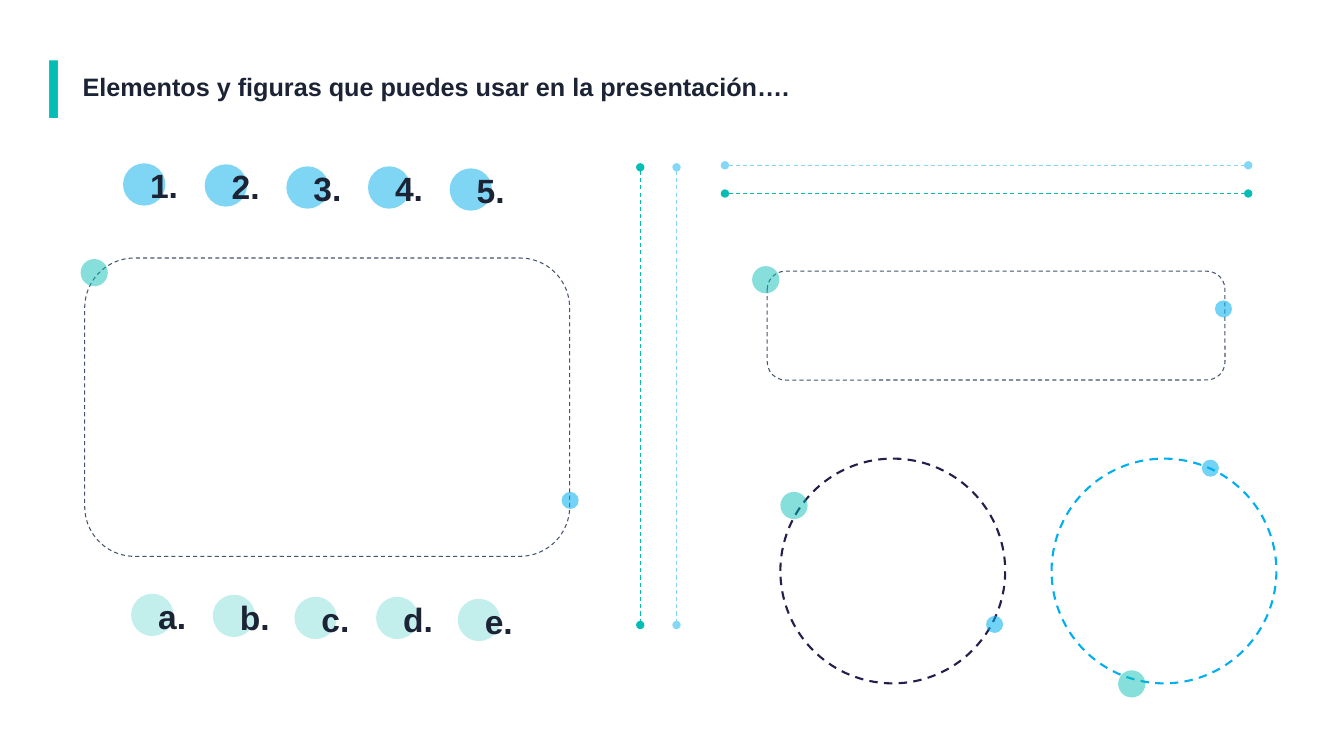
from dataclasses import dataclass

from lxml.etree import SubElement
from pptx import Presentation
from pptx.dml.color import RGBColor
from pptx.enum.dml import MSO_LINE_DASH_STYLE as DASH
from pptx.enum.shapes import MSO_CONNECTOR as CONNECTOR, MSO_SHAPE as SHAPE
from pptx.enum.text import MSO_AUTO_SIZE as AUTO_SIZE, PP_ALIGN as ALIGN
from pptx.oxml.ns import qn
from pptx.util import Inches, Pt

TEAL, SKY, INK = "04BDB4", "84D7F6", "1B2335"
SLATE, NAVY, BLUE = "44546A", "221F4B", "00AFEF"


@dataclass
class Dot:
    size: float
    color: str
    opacity: int


@dataclass
class Frame:
    kind: SHAPE
    box: tuple[float, float, float, float]
    color: str
    weight: float
    teal_dot: tuple[float, float]
    blue_dot: tuple[float, float]


@dataclass
class Divider:
    start: tuple[float, float]
    end: tuple[float, float]
    color: str


@dataclass
class BulletRow:
    labels: str
    left: float
    top: float
    dot: Dot


TEAL_DOT = Dot(0.27, TEAL, 48)
BLUE_DOT = Dot(0.17, "00B0F0", 55)

FRAMES = [
    Frame(SHAPE.ROUNDED_RECTANGLE, (0.84, 2.56, 4.81, 2.96), SLATE, 0.75, (0.8, 2.57), (5.57, 4.88)),
    Frame(SHAPE.ROUNDED_RECTANGLE, (7.61, 2.69, 4.54, 1.08), SLATE, 0.75, (7.46, 2.64), (12.05, 2.98)),
    Frame(SHAPE.OVAL, (7.74, 4.55, 2.23, 2.23), NAVY, 1.5, (7.74, 4.88), (9.78, 6.11)),
    Frame(SHAPE.OVAL, (10.43, 4.55, 2.23, 2.23), BLUE, 1.5, (11.09, 6.65), (11.92, 4.56)),
]
DIVIDERS = [
    Divider((7.19, 1.92), (12.38, 1.92), TEAL),
    Divider((7.19, 1.64), (12.38, 1.64), SKY),
    Divider((6.35, 1.66), (6.35, 6.2), TEAL),
    Divider((6.71, 1.66), (6.71, 6.2), SKY),
]
BULLET_ROWS = [
    BulletRow("12345", 1.22, 1.62, Dot(0.42, "00AEEA", 50)),
    BulletRow("abcde", 1.3, 5.89, Dot(0.42, "87DFDB", 50)),
]
BULLET_STEP = 0.81
BULLET_DROPS = (0, 0.01, 0.03, 0.03, 0.05)


def rgb(color: str) -> RGBColor:
    return RGBColor.from_string(color)


def add_outline(slide, frame: Frame) -> None:
    shape = slide.shapes.add_shape(frame.kind, *map(Inches, frame.box))
    shape.shadow.inherit = False
    shape.fill.background()
    shape.line.color.rgb = rgb(frame.color)
    shape.line.width = Pt(frame.weight)
    shape.line.dash_style = DASH.DASH


def add_dot(slide, left: float, top: float, dot: Dot) -> None:
    size = Inches(dot.size)
    shape = slide.shapes.add_shape(SHAPE.OVAL, Inches(left), Inches(top), size, size)
    shape.shadow.inherit = False
    shape.line.fill.background()
    shape.fill.solid()
    shape.fill.fore_color.rgb = rgb(dot.color)
    color_element = shape.fill._xPr.find(qn("a:solidFill"))[0]
    SubElement(color_element, qn("a:alpha"), val=str(dot.opacity * 1000))


def add_divider(slide, divider: Divider) -> None:
    ends = map(Inches, divider.start + divider.end)
    connector = slide.shapes.add_connector(CONNECTOR.STRAIGHT, *ends)
    connector.line.color.rgb = rgb(divider.color)
    connector.line.width = Pt(0.75)
    connector.line.dash_style = DASH.DASH
    line_element = connector.line._get_or_add_ln()
    for tag in ("a:headEnd", "a:tailEnd"):
        SubElement(line_element, qn(tag), type="oval")
    SubElement(connector._element.spPr, qn("a:effectLst"))


def add_text(slide, text: str, box: tuple[float, float, float, float], size: int,
             color: str = INK, font: str = "Arial", align: ALIGN = ALIGN.LEFT,
             wrap: bool = False) -> None:
    frame = slide.shapes.add_textbox(*map(Inches, box)).text_frame
    frame.word_wrap = wrap
    frame.auto_size = AUTO_SIZE.SHAPE_TO_FIT_TEXT
    paragraph = frame.paragraphs[0]
    paragraph.alignment = align
    run = paragraph.add_run()
    run.text = text
    run.font.name = font
    run.font.size = Pt(size)
    run.font.bold = True
    run.font.color.rgb = rgb(color)


def add_bullet_row(slide, row: BulletRow) -> None:
    for index, (label, drop) in enumerate(zip(row.labels, BULLET_DROPS)):
        left, top = row.left + index * BULLET_STEP, row.top + drop
        add_dot(slide, left, top, row.dot)
        add_text(slide, f"{label}.", (left + 0.17, top - 0.03, 0.51, 0.5), 24)


def main() -> None:
    presentation = Presentation()
    presentation.slide_width = Inches(13.33)
    presentation.slide_height = Inches(7.5)
    slide = presentation.slides.add_slide(presentation.slide_layouts[6])

    # Title with its accent bar
    add_text(slide, "|", (0.15, 0.4, 0.78, 0.84), 44, TEAL, "Montserrat", ALIGN.CENTER, True)
    add_text(slide, "Elementos y figuras que puedes usar en la presentación….",
             (0.72, 0.66, 7.28, 0.4), 18)

    # Dashed frames and circles with their dots
    for frame in FRAMES:
        add_outline(slide, frame)
        add_dot(slide, *frame.blue_dot, BLUE_DOT)
        add_dot(slide, *frame.teal_dot, TEAL_DOT)

    # Dividers
    for divider in DIVIDERS:
        add_divider(slide, divider)

    # Numbered and lettered bullets
    for row in BULLET_ROWS:
        add_bullet_row(slide, row)

    presentation.save("out.pptx")


if __name__ == "__main__":
    main()
